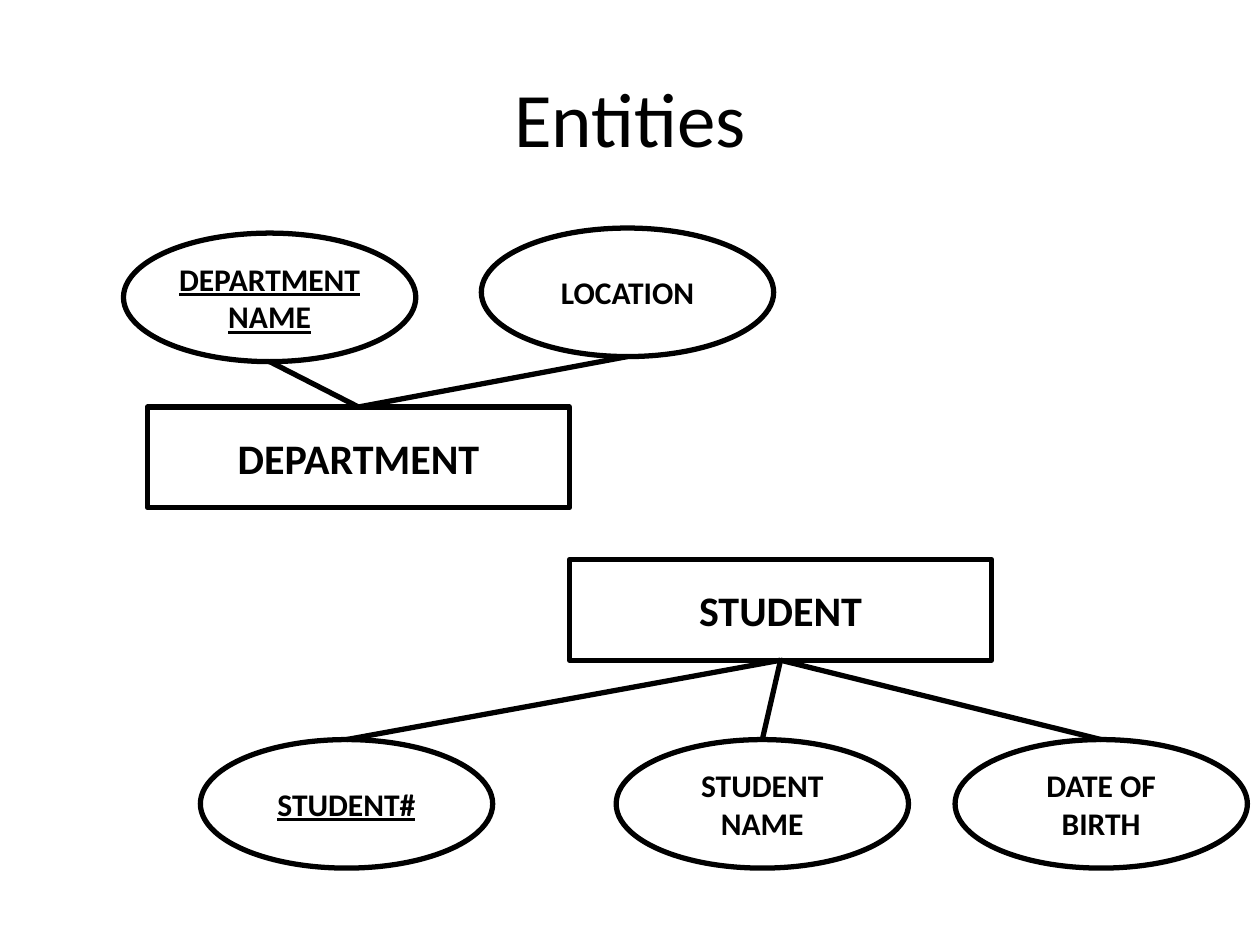
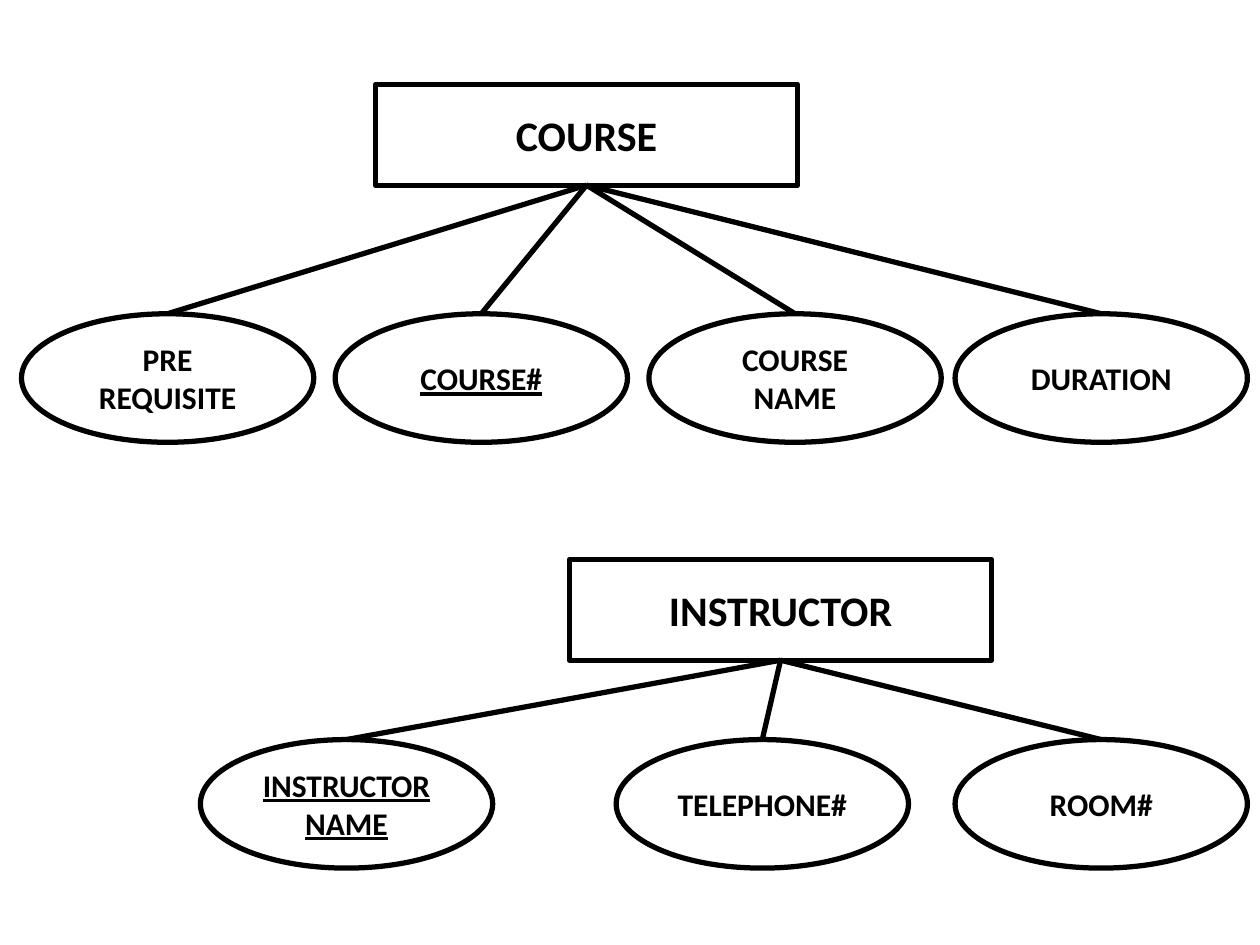
from pptx import Presentation
from pptx.dml.color import RGBColor
from pptx.enum.shapes import MSO_CONNECTOR, MSO_SHAPE
from pptx.enum.text import MSO_ANCHOR, PP_ALIGN
from pptx.oxml.ns import qn
from pptx.util import Inches, Pt
from lxml.etree import SubElement

FONT = "Calibri"
BLACK = "000000"
WHITE = "FFFFFF"
LINE_WIDTH = Pt(3)
ENTITY_WIDTH, ENTITY_HEIGHT = 3.35, 0.8
ATTRIBUTE_WIDTH, ATTRIBUTE_HEIGHT = 2.32, 1.02


def color(hex_string):
    return RGBColor.from_string(hex_string)


def write_text(shape, text, size, bold=False, underline=False):
    frame = shape.text_frame
    frame.word_wrap = True
    frame.vertical_anchor = MSO_ANCHOR.MIDDLE
    paragraph = frame.paragraphs[0]
    paragraph.text = text
    paragraph.alignment = PP_ALIGN.CENTER
    paragraph.font.name = FONT
    paragraph.font.size = Pt(size)
    paragraph.font.bold = bold
    paragraph.font.underline = underline
    paragraph.font.color.rgb = color(BLACK)


# Each attribute: text, left, top, is key
slides = [
    ("Entities", [
        ("DEPARTMENT", 1.17, 3.23, [
            ("DEPARTMENT NAME", 0.98, 1.85, True),
            ("LOCATION", 3.82, 1.81, False),
        ]),
        ("STUDENT", 4.52, 4.44, [
            ("STUDENT#", 1.59, 5.87, True),
            ("STUDENT NAME", 4.89, 5.87, False),
            ("DATE OF BIRTH", 7.58, 5.87, False),
        ]),
    ]),
    (None, [
        ("INSTRUCTOR", 4.52, 4.44, [
            ("INSTRUCTOR NAME", 1.59, 5.87, True),
            ("TELEPHONE#", 4.89, 5.87, False),
            ("ROOM#", 7.58, 5.87, False),
        ]),
        ("COURSE", 2.98, 0.67, [
            ("COURSE#", 2.66, 2.49, True),
            ("COURSE NAME", 5.15, 2.49, False),
            ("DURATION", 7.58, 2.49, False),
            ("PRE REQUISITE", 0.17, 2.49, False),
        ]),
    ]),
]

presentation = Presentation()
presentation.slide_width = Inches(10)
presentation.slide_height = Inches(7.5)

for title, entities in slides:
    slide = presentation.slides.add_slide(presentation.slide_layouts[6])
    if title:
        title_box = slide.shapes.add_textbox(Inches(0.5), Inches(0.3), Inches(9), Inches(1.25))
        write_text(title_box, title, 44)

    for entity_name, entity_left, entity_top, attributes in entities:
        entity = slide.shapes.add_shape(
            MSO_SHAPE.RECTANGLE, Inches(entity_left), Inches(entity_top),
            Inches(ENTITY_WIDTH), Inches(ENTITY_HEIGHT))
        entity.fill.background()
        write_text(entity, entity_name, 24, bold=True)
        outlined = [entity]

        for attribute_name, left, top, is_key in attributes:
            attribute = slide.shapes.add_shape(
                MSO_SHAPE.OVAL, Inches(left), Inches(top),
                Inches(ATTRIBUTE_WIDTH), Inches(ATTRIBUTE_HEIGHT))
            attribute.fill.solid()
            attribute.fill.fore_color.rgb = color(WHITE)
            write_text(attribute, attribute_name, 18, bold=True, underline=is_key)
            outlined.append(attribute)

            is_above = top < entity_top
            start_y = entity_top if is_above else entity_top + ENTITY_HEIGHT
            end_y = top + ATTRIBUTE_HEIGHT if is_above else top
            connector = slide.shapes.add_connector(
                MSO_CONNECTOR.STRAIGHT,
                Inches(entity_left + ENTITY_WIDTH / 2), Inches(start_y),
                Inches(left + ATTRIBUTE_WIDTH / 2), Inches(end_y))
            connector.line.color.rgb = color(BLACK)
            connector.line.width = LINE_WIDTH
            SubElement(connector._element.spPr, qn("a:effectLst"))

        for shape in outlined:
            shape.shadow.inherit = False
            shape.line.color.rgb = color(BLACK)
            shape.line.width = LINE_WIDTH

presentation.save("out.pptx")
